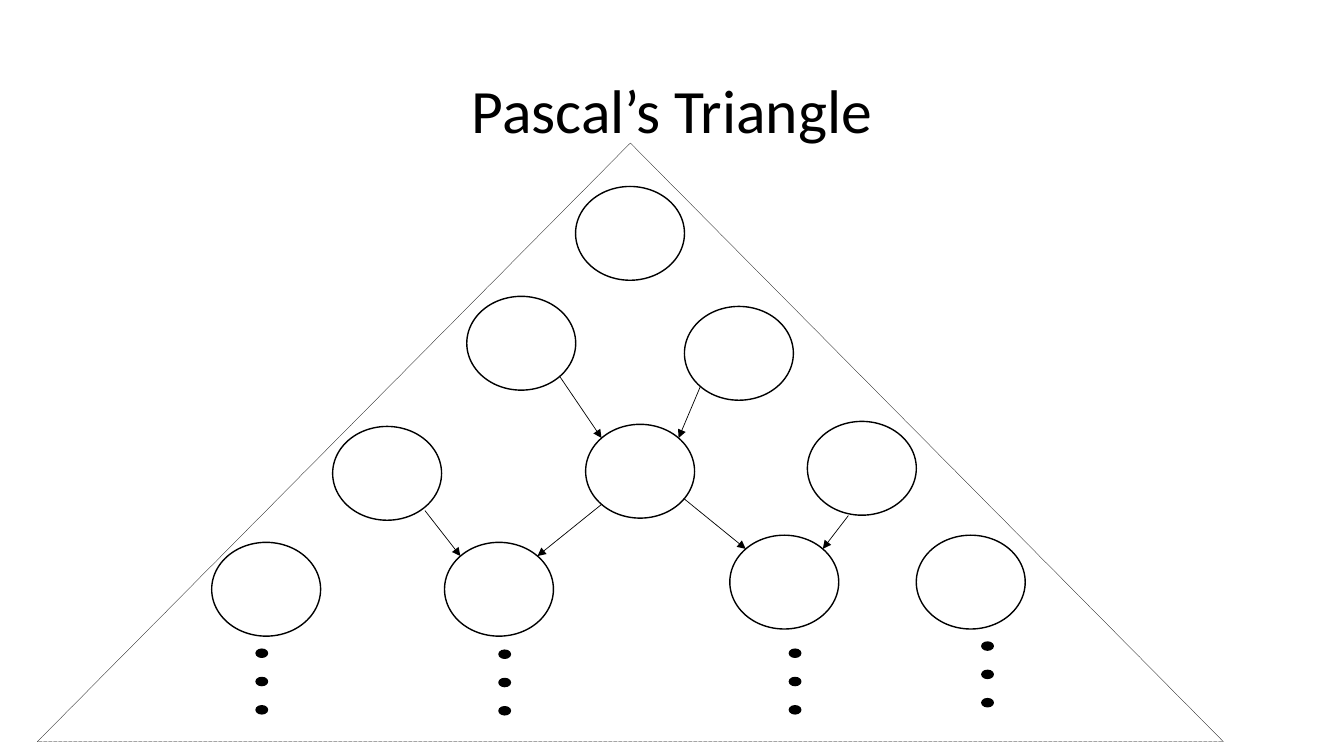
import pptx
import pptx.util
import pptx.dml.color
import pptx.enum.dml
import pptx.enum.shapes
import pptx.enum.text
import pptx.oxml
import pptx.oxml.ns

Pt = pptx.util.Pt
KIND = pptx.enum.shapes.MSO_SHAPE
BLACK = pptx.dml.color.RGBColor(0, 0, 0)

NODE_W, NODE_H = 77.8, 67
INSET = 0.146
DOT_W, DOT_H, DOT_STEP = 8.2, 5.8, 20.2

NODES = {
    "1a": (384.5, 31),
    "2a": (306.8, 109.5), "2b": (462.3, 116.7),
    "3b": (391.7, 200.9), "3c": (550.1, 198.8), "3a": (211, 202.4),
    "4c": (494.7, 280.1), "4d": (627.9, 280.1),
    "4b": (290.9, 285.2), "4a": (124.6, 285.2),
}
DOTS = [(156.3, 361.5), (329.8, 362.2), (537.2, 361.5), (674.7, 356.4)]
ARROWS = [
    ("2a", "3b", 0, 0), ("2b", "3b", 0, 0), ("3a", "4b", -0.5, 2.9),
    ("3b", "4b", 0, 0), ("3b", "4c", 3.6, -4.3), ("3c", "4c", 18, 10),
]


def draw_shape(slide, kind, left, top, width, height, weight, solid=False):
    """Draw a black outline shape, filled black if solid."""
    shape = slide.shapes.add_shape(kind, Pt(left), Pt(top), Pt(width), Pt(height))
    shape.shadow.inherit = False
    if solid:
        shape.fill.solid()
        shape.fill.fore_color.rgb = BLACK
    else:
        shape.fill.background()
    shape.line.color.rgb = BLACK
    shape.line.width = Pt(weight)
    return shape


def draw_arrow(slide, start, end):
    """Draw a thin arrow between two points."""
    line = slide.shapes.add_connector(
        pptx.enum.shapes.MSO_CONNECTOR.STRAIGHT, *[Pt(v) for v in start + end])
    line.line.color.rgb = BLACK
    line.line.width = Pt(0.5)
    head = pptx.oxml.ns.qn("a:tailEnd")
    line.line._get_or_add_ln().makeelement(head)
    outline = line.line._get_or_add_ln()
    outline.append(outline.makeelement(head, {"type": "triangle"}))
    props = line._element.spPr
    props.append(props.makeelement(pptx.oxml.ns.qn("a:effectLst")))


def draw_title(slide, left, top, width, height):
    """Write the centred title in its box."""
    box = slide.shapes.add_textbox(Pt(left), Pt(top), Pt(width), Pt(height))
    frame = box.text_frame
    frame.word_wrap = True
    frame.vertical_anchor = pptx.enum.text.MSO_ANCHOR.MIDDLE
    frame.text = "Pascal’s Triangle"
    para = frame.paragraphs[0]
    para.alignment = pptx.enum.text.PP_ALIGN.CENTER
    para.line_spacing = 0.9
    font = para.runs[0].font
    font.name = "Calibri"
    font.size = Pt(44)
    font.color.rgb = BLACK


def draw_graph(slide, left, top, width, height):
    """Draw the triangle with its nodes, dots and arrows."""
    for x, y in NODES.values():
        draw_shape(slide, KIND.OVAL, left + x, top + y, NODE_W, NODE_H, 1)
    frame = draw_shape(slide, KIND.ISOSCELES_TRIANGLE, left, top, width, height, 0.25)
    frame.line.dash_style = pptx.enum.dml.MSO_LINE.ROUND_DOT
    for x, y in DOTS:
        for step in range(3):
            draw_shape(slide, KIND.OVAL, left + x, top + y + step * DOT_STEP,
                       DOT_W, DOT_H, 1, True)
    for source, target, dx, dy in ARROWS:
        x1, y1 = NODES[source]
        x2, y2 = NODES[target]
        near, far = NODE_W * INSET, NODE_W * (1 - INSET)
        out, into = (far, near) if x1 < x2 else (near, far)
        start = (left + x1 + out + dx, top + y1 + NODE_H * (1 - INSET) + dy)
        end = (left + x2 + into, top + y2 + NODE_H * INSET)
        draw_arrow(slide, start, end)


def main():
    """Build the slide and save it."""
    deck = pptx.Presentation()
    deck.slide_width, deck.slide_height = Pt(960), Pt(540)
    slide = deck.slides.add_slide(deck.slide_layouts[6])
    draw_title(slide, 66, 28.8, 828, 104.4)
    draw_graph(slide, 26.6, 102.2, 847.4, 427.7)
    deck.save("out.pptx")


if __name__ == "__main__":
    main()
